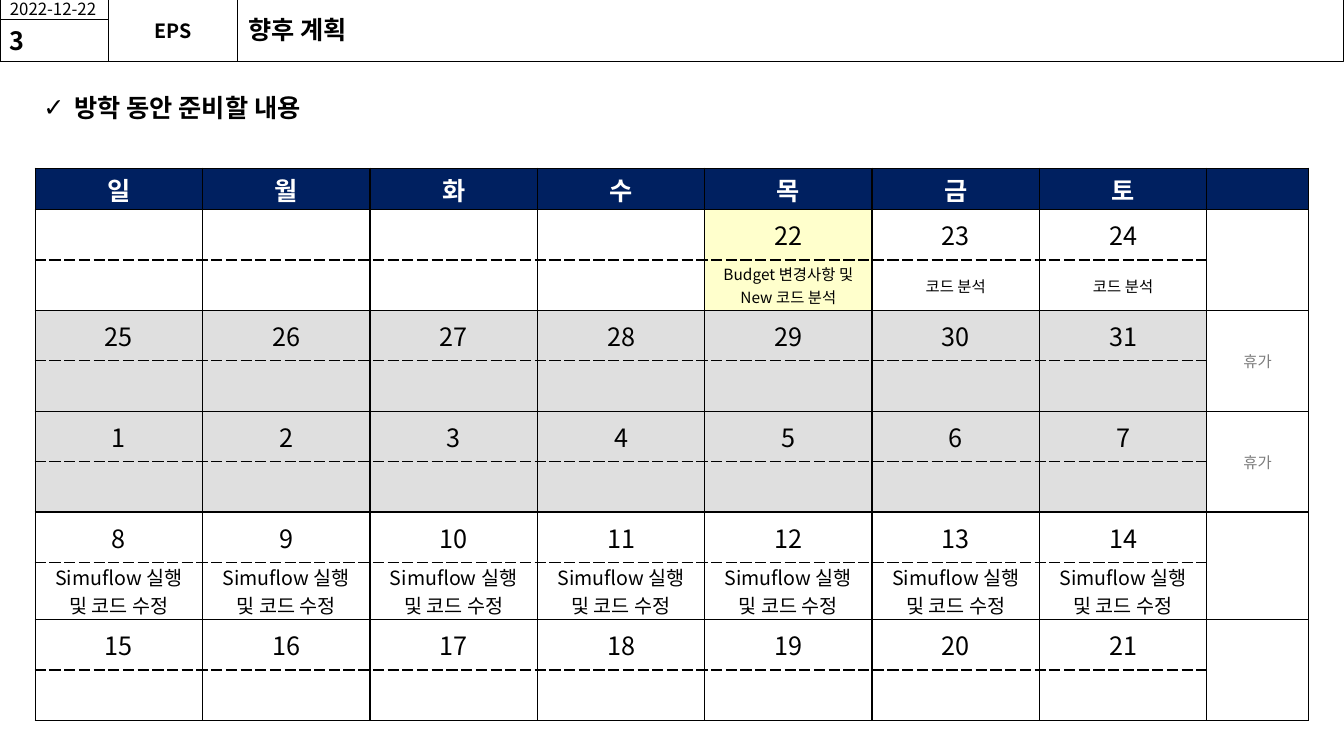
from pptx import Presentation
from pptx.util import Inches, Pt
from pptx.dml.color import RGBColor
from pptx.enum.shapes import MSO_SHAPE as Shape
from pptx.enum.text import MSO_ANCHOR as Anchor, MSO_AUTO_SIZE as Fit, PP_ALIGN as Align
from pptx.oxml import parse_xml
from pptx.oxml.ns import nsdecls
from pptx.oxml.xmlchemy import OxmlElement as Element

# Content
FACE = "Noto Sans CJK KR"
BLACK, WHITE, NAVY = "000000", "FFFFFF", "002060"
GRAY, CREAM, MUTED = "DFDFDF", "FFFFCC", "7C7C7C"
TITLE = "향후 계획"
TOPIC = "방학 동안 준비할 내용"
HEADER = [  # text, box, size, bold, align, side inset
    ("", (2.36, -0.01, 10.97, 0.62), 18, False, Align.LEFT, 0.1),
    ("2022-12-22", (0, -0.01, 1.08, 0.2), 12, False, Align.LEFT, 0.1),
    ("EPS", (1.08, -0.01, 1.28, 0.62), 14, True, Align.CENTER, 0),
    ("3", (0, 0.19, 1.08, 0.42), 18, True, Align.LEFT, 0.1),
]
DAYS = "일월화수목금토"
CODE = "코드 분석"
TASK = "Simuflow 실행 및 코드 수정"
WEEKS = [  # dates, notes, note size, fill, remark
    ([""] * 4 + [22, 23, 24],
     [""] * 4 + ["Budget 변경사항 및 New 코드 분석", CODE, CODE], 11, WHITE, ""),
    (range(25, 32), [""] * 7, 18, GRAY, "휴가"),
    (range(1, 8), [""] * 7, 18, GRAY, "휴가"),
    (range(8, 15), [TASK] * 7, 14, WHITE, ""),
    (range(15, 22), [""] * 7, 18, WHITE, ""),
]
TODAY = 22


def paint(hue):
    return RGBColor.from_string(hue)


def box(values):
    return [Inches(v) for v in values]


def write(frame, text, size, hue=BLACK, bold=False, align=Align.LEFT):
    para = frame.paragraphs[0]
    para.alignment = align
    if not text:
        para.font.size = Pt(size)
        return para
    run = para.add_run()
    run.text = str(text)
    for key, value in {"size": Pt(size), "bold": bold, "name": FACE}.items():
        setattr(run.font, key, value)
    run.font.color.rgb = paint(hue)
    east = Element("a:ea")
    east.set("typeface", FACE)
    run.font._element.find("{*}latin").addnext(east)
    return para


def border(cell, dashed=""):
    props = cell._tc.get_or_add_tcPr()
    for place, side in enumerate("LRTB"):
        dash = "sysDash" if side == dashed else "solid"
        props.insert(place, parse_xml(
            f'<a:ln{side} {nsdecls("a")} w="12700"><a:solidFill>'
            f'<a:srgbClr val="{BLACK}"/></a:solidFill>'
            f'<a:prstDash val="{dash}"/></a:ln{side}>'))


def fill_cell(cell, text, size, back, hue=BLACK, bold=False, dashed="", inset=0.1):
    for key, value in {"margin_left": inset, "margin_right": inset,
                       "margin_top": 0, "margin_bottom": 0}.items():
        setattr(cell, key, Inches(value))
    cell.vertical_anchor = Anchor.MIDDLE
    cell.fill.solid()
    cell.fill.fore_color.rgb = paint(back)
    border(cell, dashed)
    write(cell.text_frame, text, size, hue, bold, Align.CENTER)


def place(holder, spot):
    for key, value in zip(("left", "top", "width", "height"), box(spot)):
        setattr(holder, key, value)
    frame = holder.text_frame
    frame.word_wrap = True
    frame.auto_size = Fit.NONE
    return frame


deck = Presentation()
deck.slide_width, deck.slide_height = Inches(13.33), Inches(7.5)
slide = deck.slides.add_slide(deck.slide_layouts[1])

# Topic line with check mark
frame = place(slide.placeholders[1], (0.33, 0.9, 11.92, 6.09))
frame.vertical_anchor = Anchor.TOP
para = frame.paragraphs[0]
props = para._p.get_or_add_pPr()
props.set("marL", str(Inches(0.31)))
props.set("indent", str(-Inches(0.31)))
mark = Element("a:buChar")
mark.set("char", "✓")
props.append(mark)
para.line_spacing, para.space_before = 0.9, Pt(0)
write(frame, TOPIC, 18, bold=True)

# Header boxes and title
for text, spot, size, bold, align, inset in HEADER:
    shape = slide.shapes.add_shape(Shape.RECTANGLE, *box(spot))
    shape.shadow.inherit = False
    shape.fill.background()
    shape.line.color.rgb = paint(BLACK)
    shape.line.width = Pt(0.75)
    frame = shape.text_frame
    frame.vertical_anchor = Anchor.MIDDLE
    frame.margin_left = frame.margin_right = Inches(inset)
    write(frame, text, size, bold=bold, align=align)

frame = place(slide.shapes.title, (2.36, 0.09, 7.29, 0.4))
frame.vertical_anchor = Anchor.MIDDLE
write(frame, TITLE, 18, bold=True)

# Calendar
count, last = 1 + 2 * len(WEEKS), len(DAYS)
table = slide.shapes.add_table(count, last + 1, *box((0.35, 1.67, 12.65, 5.41))).table
table.first_row = table.horz_banding = False
for col in range(last + 1):
    table.columns[col].width = Inches(1.66 if col < last else 1.01)
for row in range(count):
    table.rows[row].height = Inches(0.5 if row else 0.41)

for col, day in enumerate([*DAYS, ""]):
    fill_cell(table.cell(0, col), day, 18, NAVY, WHITE, True)

for week, (dates, notes, size, back, remark) in enumerate(WEEKS):
    top = 1 + 2 * week
    inset = 0.01 if size == 11 else 0.1
    for col, (date, note) in enumerate(zip(dates, notes)):
        tint = CREAM if date == TODAY else back
        fill_cell(table.cell(top, col), date, 18, tint, dashed="B")
        fill_cell(table.cell(top + 1, col), note, size, tint, dashed="T", inset=inset)
    side, below = table.cell(top, last), table.cell(top + 1, last)
    side.merge(below)
    fill_cell(side, remark, 11, WHITE, MUTED)
    border(below)

deck.save("out.pptx")
